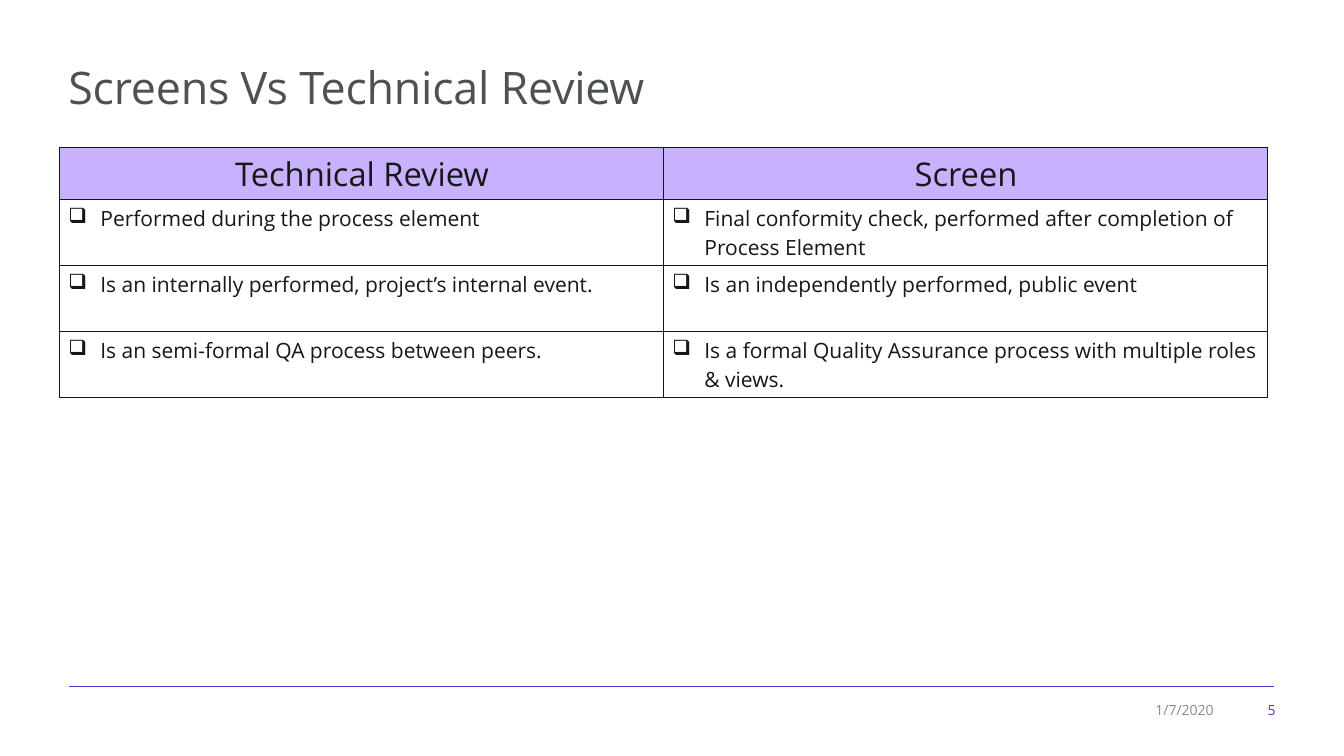
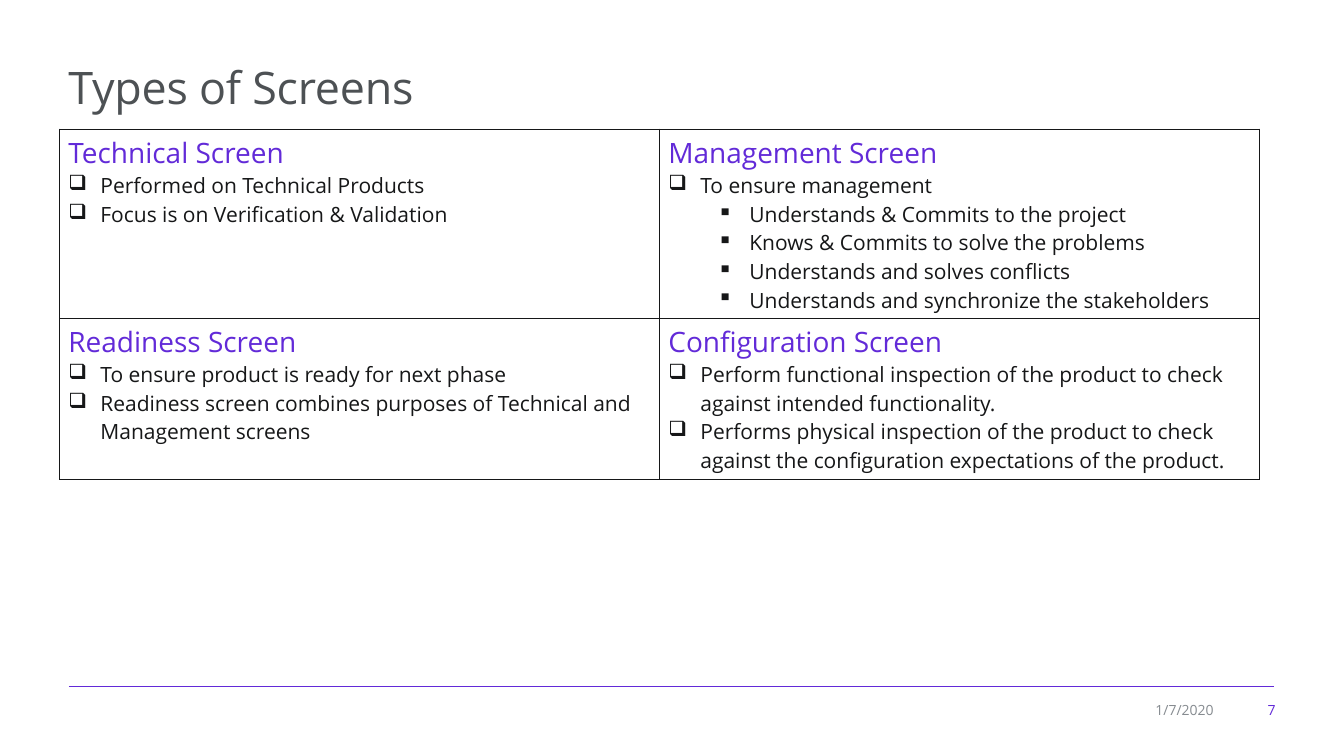
"""Build two slides that compare and list kinds of screens."""
import pptx
import pptx.dml.color
import pptx.enum.shapes
import pptx.enum.text
import pptx.oxml
import pptx.oxml.ns
import pptx.util
import lxml.etree

RGB = pptx.dml.color.RGBColor
INK = RGB(0x16, 0x17, 0x18)
SLATE = RGB(0x4D, 0x51, 0x54)
GRAY = RGB(0x86, 0x8B, 0x90)
PURPLE = RGB(0x62, 0x2A, 0xD8)
LILAC = RGB(0xC8, 0xB1, 0xFF)
WHITE = RGB(0xFF, 0xFF, 0xFF)
FONT = "Open Sans"
ALIGN = pptx.enum.text.PP_ALIGN
ANCHOR = pptx.enum.text.MSO_ANCHOR
qn = pptx.oxml.ns.qn


def px(num):
    return pptx.util.Emu(round(num * 914400 / 84))


def say(para, text, size=18, color=INK, align=ALIGN.LEFT, bullet=None, left=0, level=0, track=0):
    para.alignment = align
    para.level = level
    run = para.add_run()
    run.text = text
    run.font.name = FONT
    run.font.size = pptx.util.Pt(size)
    run.font.color.rgb = color
    if track:
        run.font._element.set("spc", str(track))
    if bullet:
        props = para._p.get_or_add_pPr()
        props.set("marL", str(px(left)))
        props.set("indent", str(px(-32)))
        lxml.etree.SubElement(props, qn("a:buChar")).set("char", bullet)


STYLES = {
    "head": dict(size=28, align=ALIGN.CENTER),
    "name": dict(size=24, color=PURPLE),
    "box": dict(bullet="❑", left=32),
    "dot": dict(bullet="▪", left=81, level=1),
}

SLIDES = [
    dict(title="Screens Vs Technical Review", page="5", top=147, width=604, rows=[53, 66, 66, 66],
         fills=[LILAC, WHITE, WHITE, WHITE], cells=[
        [[("head", "Technical Review")], [("head", "Screen")]],
        [[("box", "Performed during the process element")],
         [("box", "Final conformity check, performed after completion of Process Element")]],
        [[("box", "Is an internally performed, project’s internal event.")],
         [("box", "Is an independently performed, public event")]],
        [[("box", "Is an semi-formal QA process between peers.")],
         [("box", "Is a formal Quality Assurance process with multiple roles & views.")]],
    ]),
    dict(title="Types of Screens", page="7", top=129, width=600, rows=[189, 161],
         fills=[None, None], cells=[
        [[("name", "Technical Screen"),
          ("box", "Performed on Technical Products"),
          ("box", "Focus is on Verification & Validation")],
         [("name", "Management Screen"),
          ("box", "To ensure management"),
          ("dot", "Understands & Commits to the project"),
          ("dot", "Knows & Commits to solve the problems"),
          ("dot", "Understands and solves conflicts"),
          ("dot", "Understands and synchronize the stakeholders")]],
        [[("name", "Readiness Screen"),
          ("box", "To ensure product is ready for next phase"),
          ("box", "Readiness screen combines purposes of Technical and Management screens")],
         [("name", "Configuration Screen"),
          ("box", "Perform functional inspection of the product to check against intended functionality."),
          ("box", "Performs physical inspection of the product to check against the configuration "
                  "expectations of the product.")]],
    ]),
]

EDGE = (
    '<a:{side} xmlns:a="http://schemas.openxmlformats.org/drawingml/2006/main" w="12700">'
    '<a:solidFill><a:srgbClr val="{color}"/></a:solidFill></a:{side}>'
)

deck = pptx.Presentation()
deck.slide_width, deck.slide_height = px(1344), px(756)
layout = deck.slide_layouts[5]

for data in SLIDES:
    slide = deck.slides.add_slide(layout)
    shapes = slide.shapes

    rule = shapes.add_connector(pptx.enum.shapes.MSO_CONNECTOR.STRAIGHT,
                                px(69), px(686), px(1274), px(686))
    rule.line.color.rgb = PURPLE
    rule.line.width = pptx.util.Pt(0.75)
    lxml.etree.SubElement(rule._element.spPr, qn("a:effectLst"))

    title = shapes.title
    title.left, title.top, title.width, title.height = px(60), px(55), px(1226), px(63)
    frame = title.text_frame
    frame.vertical_anchor = ANCHOR.TOP
    frame.auto_size = pptx.enum.text.MSO_AUTO_SIZE.SHAPE_TO_FIT_TEXT
    say(frame.paragraphs[0], data["title"], size=38.4, color=SLATE, track=-20)

    for text, left, width, color in [(data["page"], 1233, 51, PURPLE), ("1/7/2020", 1126, 96, GRAY)]:
        frame = shapes.add_textbox(px(left), px(697), px(width), px(26)).text_frame
        frame.word_wrap = True
        frame.vertical_anchor = ANCHOR.MIDDLE
        say(frame.paragraphs[0], text, size=12, color=color, align=ALIGN.RIGHT)

    table = shapes.add_table(len(data["rows"]), 2, px(60), px(data["top"]),
                             px(2 * data["width"]), px(sum(data["rows"]))).table
    table.first_row = table.horz_banding = False
    for col in table.columns:
        col.width = px(data["width"])
    for row, high, fill, line in zip(table.rows, data["rows"], data["fills"], data["cells"]):
        row.height = px(high)
        for cell, items in zip(row.cells, line):
            props = cell._tc.get_or_add_tcPr()
            for side in ("lnL", "lnR", "lnT", "lnB"):
                props.append(pptx.oxml.parse_xml(EDGE.format(side=side, color=INK)))
            if fill:
                cell.fill.solid()
                cell.fill.fore_color.rgb = fill
            else:
                cell.fill.background()
            frame = cell.text_frame
            for pos, (kind, text) in enumerate(items):
                para = frame.add_paragraph() if pos else frame.paragraphs[0]
                say(para, text, **STYLES[kind])

deck.save("out.pptx")
